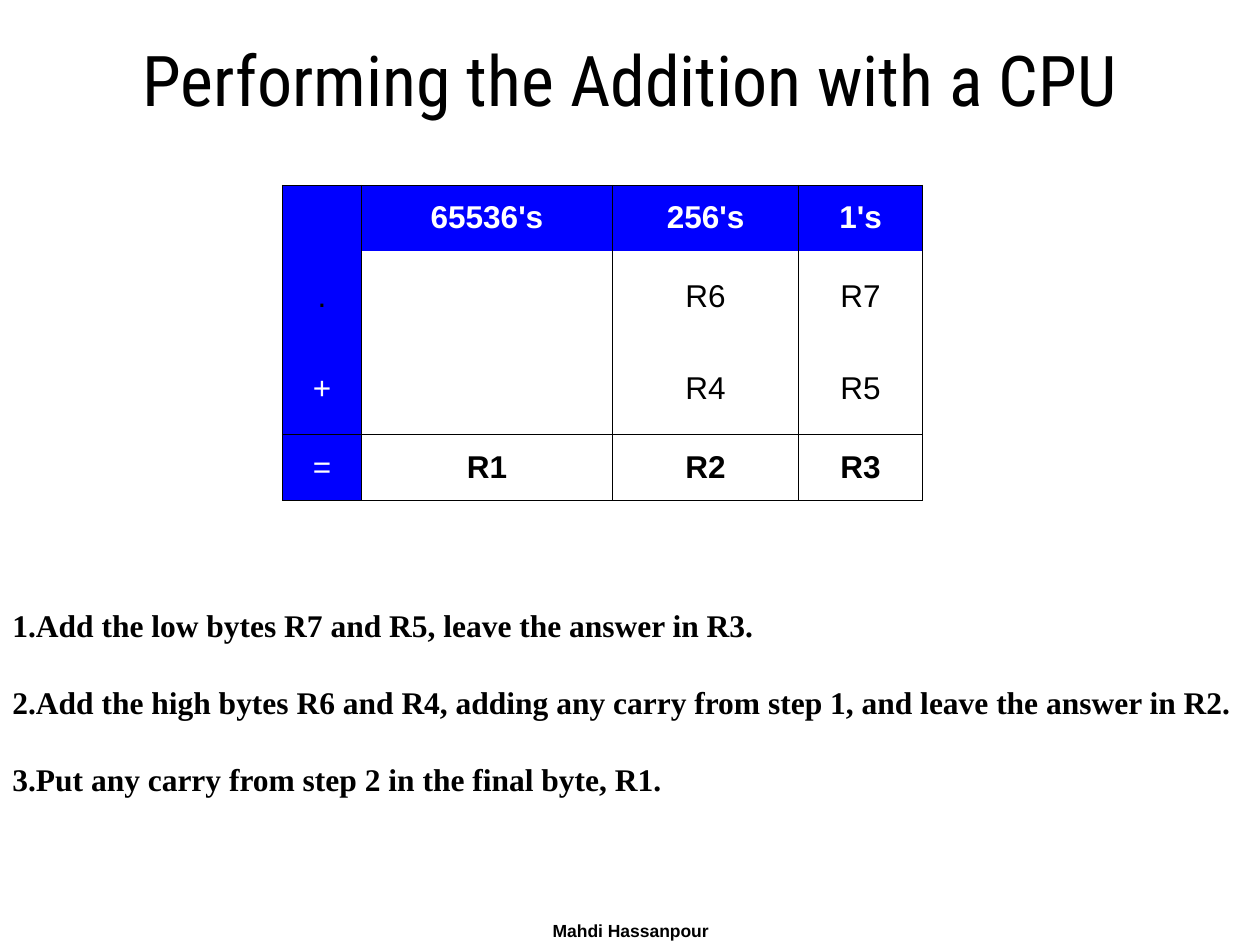
from lxml import etree
from pptx import Presentation
from pptx.dml.color import RGBColor
from pptx.enum.text import MSO_ANCHOR, PP_ALIGN
from pptx.oxml.ns import qn
from pptx.util import Inches, Pt

COLORS = {"black": "000000", "white": "FFFFFF", "blue": "0000FF"}
LEFT, CENTER = PP_ALIGN.LEFT, PP_ALIGN.CENTER
TOP, MIDDLE = MSO_ANCHOR.TOP, MSO_ANCHOR.MIDDLE

COLUMN_WIDTHS = [0.63, 1.99, 1.48, 0.98]
ROW_HEIGHTS = [0.52, 0.73, 0.73, 0.52]
REGISTERS = [
    ["", "65536's", "256's", "1's"],
    [".", "", "R6", "R7"],
    ["+", "", "R4", "R5"],
    ["=", "R1", "R2", "R3"],
]
ROW_EDGES = ["LRT", "LR", "LRB", "LRTB"]
STEPS = [
    "1.Add the low bytes R7 and R5, leave the answer in R3.",
    "2.Add the high bytes R6 and R4, adding any carry from step 1, and leave the answer in R2.",
    "3.Put any carry from step 2 in the final byte, R1.",
]


def style_paragraph(para, font, size, color="black", bold=False, align=LEFT):
    """Format one paragraph and the runs in it."""
    para.alignment = align
    para.font.size = Pt(size)
    for span in para.runs:
        span.font.name = font
        span.font.size = Pt(size)
        span.font.bold = bold
        span.font.color.rgb = RGBColor.from_string(COLORS[color])


def add_text(page, box, lines, font, size, bold=False, align=LEFT, anchor=MIDDLE, gap=0):
    """Place a wrapped text box, with a gap in points between its lines."""
    frame = page.shapes.add_textbox(*map(Inches, box)).text_frame
    frame.word_wrap = True
    frame.vertical_anchor = anchor
    frame.text = "\n".join(lines)
    for index, para in enumerate(frame.paragraphs):
        style_paragraph(para, font, size, bold=bold, align=align)
        para.space_before = Pt(gap if index else 0)


def set_borders(cell, edges):
    """Draw thin black lines on the given edges and clear the others."""
    properties = cell._tc.get_or_add_tcPr()
    for index, edge in enumerate("LRTB"):
        line = etree.Element(qn(f"a:ln{edge}"), w=str(Pt(0.45)))
        if edge in edges:
            fill = etree.SubElement(line, qn("a:solidFill"))
            etree.SubElement(fill, qn("a:srgbClr"), val=COLORS["black"])
        else:
            etree.SubElement(line, qn("a:noFill"))
        properties.insert(index, line)


def add_register_table(page, left, top):
    """Place the addition table with its blue header row and column."""
    box = (left, top, sum(COLUMN_WIDTHS), sum(ROW_HEIGHTS))
    table = page.shapes.add_table(
        len(ROW_HEIGHTS), len(COLUMN_WIDTHS), *map(Inches, box)).table
    for column, width in zip(table.columns, COLUMN_WIDTHS):
        column.width = Inches(width)
    last = len(ROW_HEIGHTS) - 1
    for row, height in enumerate(ROW_HEIGHTS):
        table.rows[row].height = Inches(height)
        for column, text in enumerate(REGISTERS[row]):
            cell = table.cell(row, column)
            cell.text = text
            cell.vertical_anchor = MIDDLE
            header = row == 0 or column == 0
            if header:
                cell.fill.solid()
                cell.fill.fore_color.rgb = RGBColor.from_string(COLORS["blue"])
            else:
                cell.fill.background()
            color = "white" if header and text != "." else "black"
            bold = column > 0 and row in (0, last)
            style_paragraph(cell.text_frame.paragraphs[0], "Arial", 18, color, bold, CENTER)
            set_borders(cell, ROW_EDGES[row])


def build_addition_slide(deck):
    """Add the slide with title, table, steps and footer."""
    page = deck.slides.add_slide(deck.slide_layouts[6])
    add_text(page, (0, 0.21, 10, 0.83), ["Performing the Addition with a CPU"],
             "Roboto Condensed", 40, align=CENTER)
    add_register_table(page, 2.24, 1.47)
    add_text(page, (0, 4.77, 10, 1.6), STEPS, "Times New Roman", 18, bold=True, gap=22.5)
    add_text(page, (3.42, 7.25, 3.17, 0.25), ["Mahdi Hassanpour"],
             "Arial", 10, bold=True, align=CENTER, anchor=TOP)


deck = Presentation()
deck.slide_width, deck.slide_height = Inches(10), Inches(7.5)
build_addition_slide(deck)
deck.save("out.pptx")
